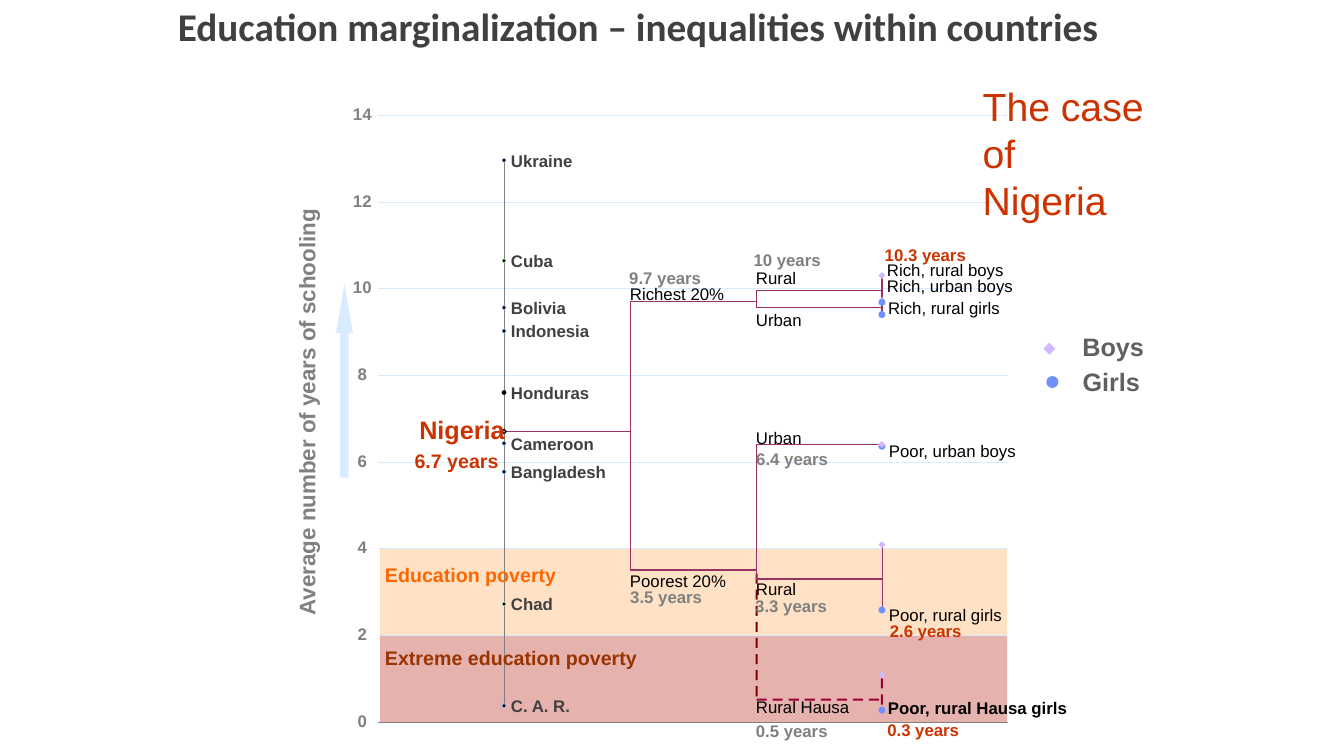
from lxml import etree
from pptx import Presentation
from pptx.dml.color import RGBColor
from pptx.enum.shapes import MSO_CONNECTOR, MSO_SHAPE
from pptx.enum.text import MSO_ANCHOR, MSO_AUTO_SIZE, PP_ALIGN
from pptx.oxml.ns import qn
from pptx.util import Pt

RECT, OVAL = MSO_SHAPE.RECTANGLE, MSO_SHAPE.OVAL
DIAMOND, UP_ARROW = MSO_SHAPE.DIAMOND, MSO_SHAPE.UP_ARROW
STRAIGHT = MSO_CONNECTOR.STRAIGHT
MIDDLE, TOP = MSO_ANCHOR.MIDDLE, MSO_ANCHOR.TOP
CENTER, LEFT = PP_ALIGN.CENTER, PP_ALIGN.LEFT
FIT, NO_FIT = MSO_AUTO_SIZE.SHAPE_TO_FIT_TEXT, MSO_AUTO_SIZE.NONE

BLACK, GREY, DARK, RED = "000000", "808080", "404040", "CC3300"
PALE_BLUE, PLUM = "D9ECFF", "993366"
BOY, GIRL = "D0B9FF", "6F91FD"
HAIRLINE = 0.1

# Chart scale: baseline, points per year of schooling, and column positions
ZERO, YEAR = 515.6, 30.95
COUNTRY, WEALTH, AREA, GENDER = 360, 450, 540.2, 630

prs = Presentation()
prs.slide_width, prs.slide_height = Pt(960), Pt(540)
s = prs.slides.add_slide(prs.slide_layouts[6])
rgb = RGBColor.from_string


def add_shape(kind, x, y, w, h, fill):
    sp = s.shapes.add_shape(kind, Pt(x), Pt(y), Pt(w), Pt(h))
    sp.shadow.inherit = False
    sp.fill.solid()
    sp.fill.fore_color.rgb = rgb(fill)
    sp.line.fill.background()
    return sp


def add_text(text, x, y, w, h, size, color, bold=True, centred=False,
             inset=0, wrap=False, font="Arial"):
    sp = s.shapes.add_textbox(Pt(x), Pt(y), Pt(w), Pt(h))
    tf = sp.text_frame
    tf.word_wrap = wrap
    tf.auto_size = NO_FIT if centred else FIT
    tf.vertical_anchor = MIDDLE if centred else TOP
    tf.margin_left = tf.margin_right = Pt(inset)
    tf.margin_top = tf.margin_bottom = Pt(inset / 2)
    p = tf.paragraphs[0]
    p.alignment = CENTER if centred else LEFT
    r = p.add_run()
    r.text = text
    r.font.name, r.font.size, r.font.bold = font, Pt(size), bold
    r.font.color.rgb = rgb(color)
    return sp


# Poverty bands
add_shape(RECT, 271.5, ZERO - 4 * YEAR, 448, 4 * YEAR, "FFE2C5")
add_shape(RECT, 271.5, ZERO - 2 * YEAR, 448, 2 * YEAR, "E5B2AD")

# Dashed branch to the rural Hausa
for i in range(8):
    add_shape(RECT, AREA - 0.4, 409.7 + 11.5 * i, 1.4, 7.2, "800000")
    add_shape(RECT, AREA + 0.3 + 11.45 * i, 499, 7.2, 1.4, "990033")
for i in range(2):
    add_shape(RECT, GENDER - 0.7, 484.6 + 11.5 * i, 1.4, 7.2, "990033")

# Lines: x and years at each end, colour, width
lines = [(270, v, 720, v, PALE_BLUE, HAIRLINE) for v in range(2, 15, 2)]
lines += [
    (270, 0, 720, 0, GREY, HAIRLINE),
    (COUNTRY, 0.37, COUNTRY, 12.96, GREY, HAIRLINE),
    (COUNTRY, 6.7, WEALTH, 6.7, PLUM, 1),
    (WEALTH, 9.7, WEALTH, 3.5, PLUM, 0.5),
    (WEALTH, 9.7, AREA, 9.7, PLUM, 1),
    (WEALTH, 3.5, AREA, 3.5, PLUM, 1),
    (AREA, 9.56, AREA, 9.95, PLUM, 1),
    (AREA, 6.4, AREA, 3.3, PLUM, 0.5),
    (GENDER, 9.75, GENDER, 9.4, PLUM, 1),
    (GENDER, 10.3, GENDER, 9.68, PLUM, 1),
    (GENDER, 4.09, GENDER, 2.58, PLUM, 0.5),
]
lines += [(AREA, v, GENDER, v, PLUM, 1) for v in (9.95, 9.56, 6.4, 3.3)]
for x1, v1, x2, v2, color, width in lines:
    ln = s.shapes.add_connector(STRAIGHT, Pt(x1), Pt(ZERO - YEAR * v1),
                                Pt(x2), Pt(ZERO - YEAR * v2))
    ln.line.color.rgb = rgb(color)
    ln.line.width = Pt(width)
    etree.SubElement(ln._element.spPr, qn("a:effectLst"))

# Country dots and labels: name, years, label width, dot outline
countries = [
    ("C. A. R.", 0.37, 46, "99CCFF"),
    ("Chad", 2.72, 34, "CCFFCC"),
    ("Bangladesh", 5.77, 72, "99CCFF"),
    ("Cameroon", 6.43, 63, "99CCFF"),
    ("Honduras", 7.6, 60, BLACK),
    ("Indonesia", 9.02, 60, "99CCFF"),
    ("Bolivia", 9.56, 43, "CCCCFF"),
    ("Cuba", 10.64, 34, "CCFFCC"),
    ("Ukraine", 12.96, 48, "CCCCFF"),
]
for name, years, width, outline in countries:
    y = ZERO - YEAR * years
    dot = add_shape(OVAL, COUNTRY - 1.4, y - 1.4, 2.8, 2.8, BLACK)
    dot.line.color.rgb = rgb(outline)
    dot.line.width = Pt(0.5)
    add_text(name, 365, y - 7, width, 14.4, 12, DARK)
nigeria = add_shape(DIAMOND, COUNTRY - 1.7, ZERO - YEAR * 6.7 - 1.7, 3.4, 3.4,
                    "969696")
nigeria.line.color.rgb = rgb(BLACK)
nigeria.line.width = Pt(0.75)

# Boys and girls markers
for kind, color, years in [
    (DIAMOND, BOY, 9.72), (OVAL, GIRL, 9.4), (OVAL, GIRL, 2.58),
    (OVAL, GIRL, 9.68), (DIAMOND, BOY, 10.3), (DIAMOND, BOY, 4.09),
    (OVAL, GIRL, 6.36), (DIAMOND, BOY, 6.4), (OVAL, GIRL, 0.27),
    (DIAMOND, BOY, 1.08),
]:
    add_shape(kind, GENDER - 2.5, ZERO - YEAR * years - 2.5, 5, 5, color)

# Axis numbers, axis title and arrow
for v in range(0, 15, 2):
    width = 6.7 * len(str(v))
    add_text(str(v), 258.8 - width / 2, ZERO - YEAR * v - 8.2, width, 14.4,
             12, GREY)
axis_title = add_text("Average number of years of schooling", 72, 283, 293.8,
                      19.4, 16, GREY)
axis_title.rotation = 270
arrow = add_shape(UP_ARROW, 240, 203, 12.2, 138.2, PALE_BLUE)
arrow.adjustments[0], arrow.adjustments[1] = 0.5, 2.875

# Branch labels
for text, x, y, w, bold in [
    ("Richest 20%", 450, 203, 67.7, False),
    ("Poorest 20%", 450, 407.5, 69.1, False),
    ("Rural", 540, 191.5, 28.8, False),
    ("Urban", 540, 221, 33.1, False),
    ("Urban", 540, 305.3, 33.1, False),
    ("Rural", 540, 413.3, 28.8, False),
    ("Rural Hausa", 540, 497.5, 67, False),
    ("Rich, rural boys", 633.6, 185.8, 84.2, False),
    ("Rich, urban boys", 633.6, 196.6, 90.7, False),
    ("Rich, rural girls", 634.3, 212.4, 80.6, False),
    ("Poor, urban boys", 635, 314.6, 91.4, False),
    ("Poor, rural girls", 635, 432, 81.4, False),
    ("Poor, rural Hausa girls", 634.3, 498.2, 129.6, True),
]:
    add_text(text, x, y, w, 14.4, 12, BLACK, bold)

# Nigeria and band labels
add_text("Nigeria", 299.5, 296, 62, 21.6, 18, RED)
add_text("Education poverty", 275, 401.8, 123, 17.3, 14, "FF6600")
add_text("Extreme education poverty", 275, 461.5, 180.7, 17.3, 14, "993300")

# Years of schooling, centred on x and y
for text, x, y, size, color in [
    ("3.3 years", 565.2, 432.7, 12, GREY),
    ("6.4 years", 565.9, 327.6, 12, GREY),
    ("3.5 years", 475.9, 426.2, 12, GREY),
    ("9.7 years", 475.2, 198.7, 12, GREY),
    ("0.5 years", 565.6, 522, 12, GREY),
    ("10 years", 562.3, 185.8, 12, GREY),
    ("10.3 years", 661, 182.2, 12, RED),
    ("2.6 years", 661.3, 450.7, 12, RED),
    ("0.3 years", 659.5, 521.3, 12, RED),
    ("6.7 years", 326.2, 329, 14, RED),
]:
    add_text(text, x - 18, y - 12.2, 36, 24.4, size, color, centred=True,
             inset=7.2)

# Legend
add_shape(DIAMOND, 745.2, 244.8, 8.6, 8.6, BOY)
add_shape(OVAL, 747.4, 268.6, 8.6, 8.6, GIRL)
add_text("Boys", 750.2, 240.5, 90, 14.4, 18, "606060", centred=True, inset=7.2)
add_text("Girls", 748.8, 265, 90, 14.4, 18, "606060", centred=True, inset=7.2)

# Title and callout
title = add_text("Education marginalization – inequalities within countries",
                 120, -2, 720, 41, 28, DARK, inset=7.2, wrap=True,
                 font="Calibri")
title.fill.solid()
title.fill.fore_color.rgb = rgb("FFFFFF")
add_text("The case of Nigeria", 694.8, 55.4, 131, 108.7, 28, RED, bold=False,
         inset=7.2, wrap=True)

prs.save("out.pptx")
